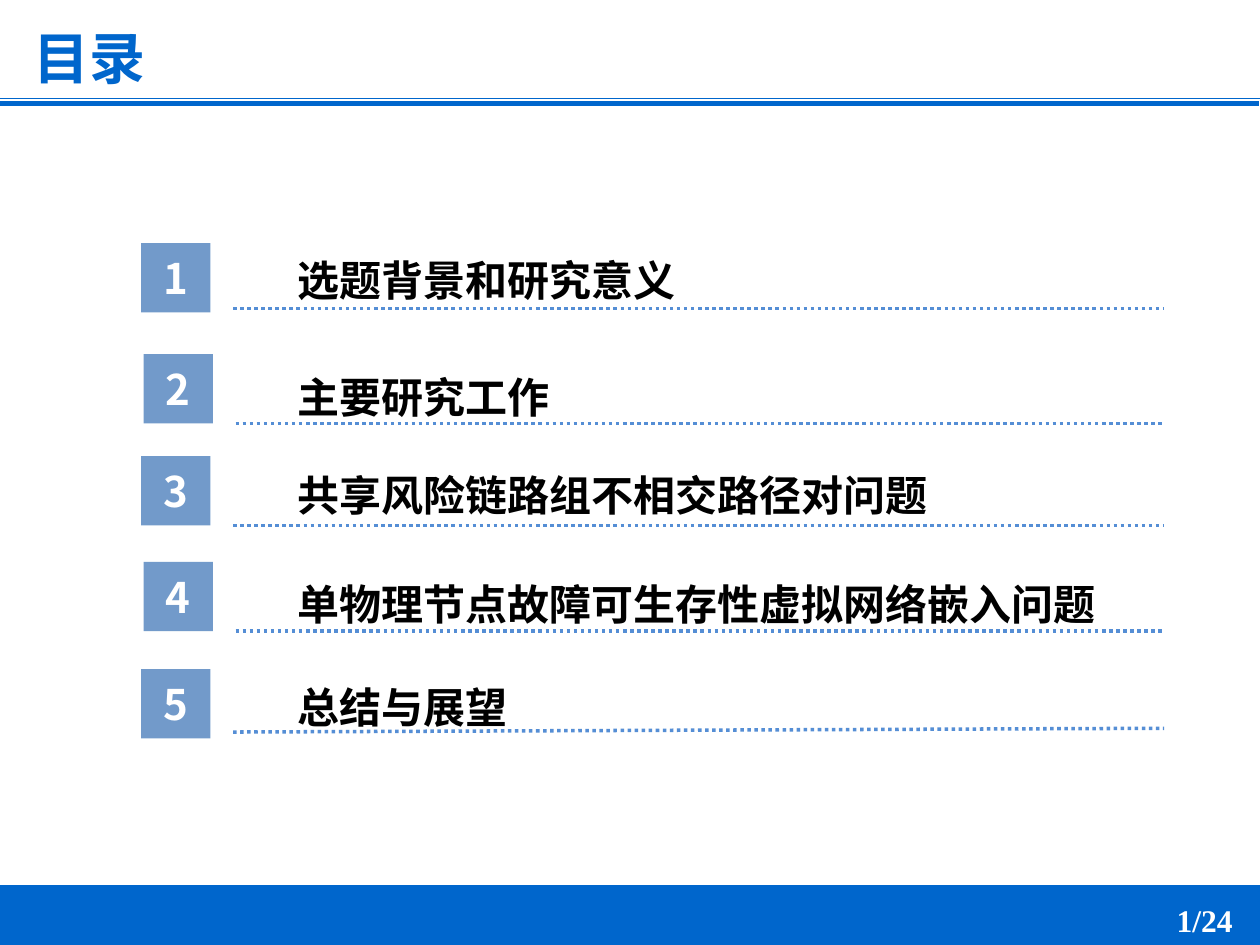
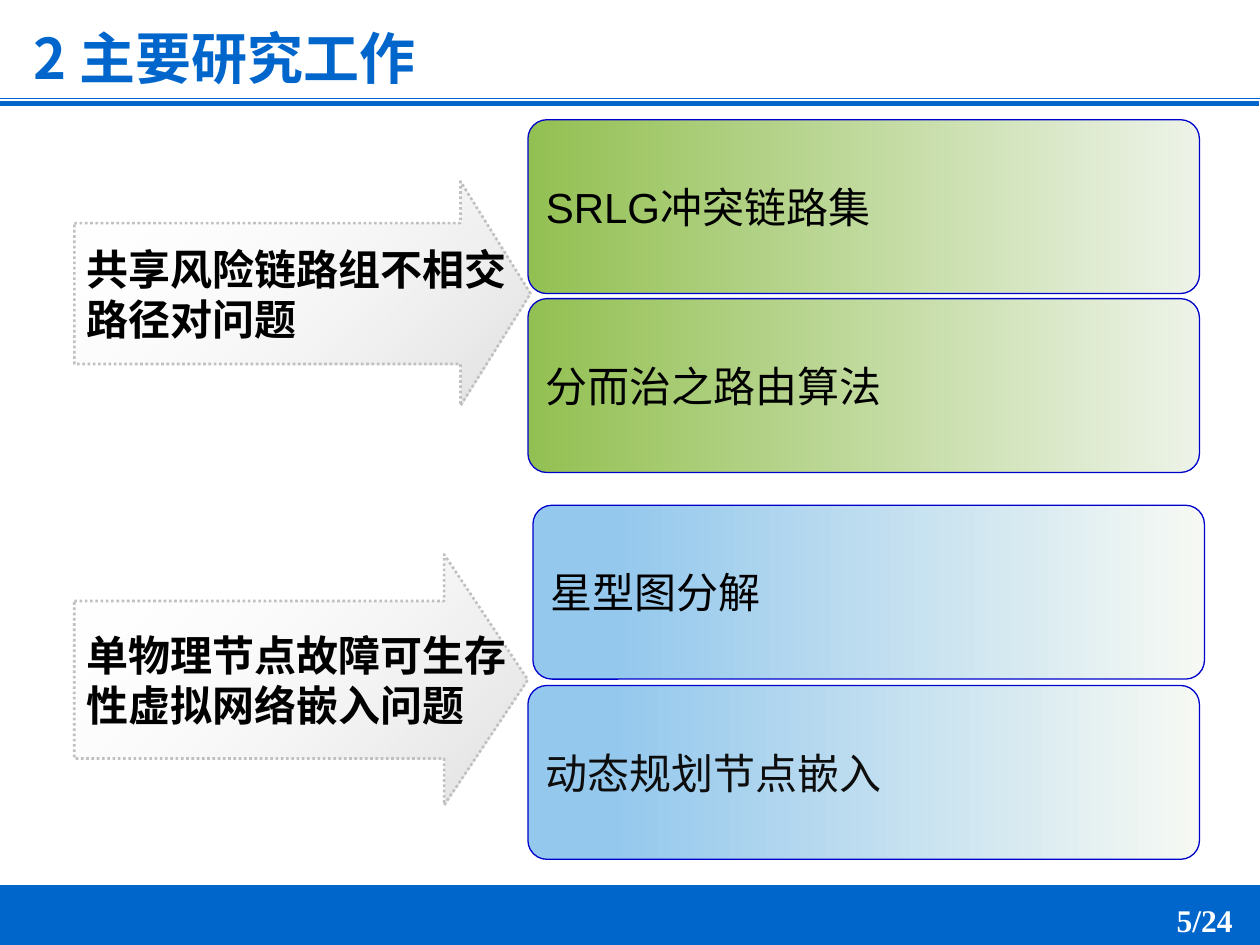
from lxml.etree import SubElement
from pptx import Presentation
from pptx.dml.color import RGBColor
from pptx.enum.dml import MSO_LINE
from pptx.enum.shapes import MSO_CONNECTOR, MSO_SHAPE
from pptx.enum.text import MSO_ANCHOR, MSO_AUTO_SIZE, PP_ALIGN
from pptx.oxml.ns import qn
from pptx.util import Inches, Pt

# Content
CJK = "Noto Sans CJK SC"
COLORS = {
    "brand": "0066CC", "white": "FFFFFF", "black": "000000", "near_black": "0D0D0D",
    "badge": "4F81BD", "dots": "558ED5", "silver": "C0C0C0", "outline": "0000CC",
    "green": "93C052", "pale_green": "EDF3E8", "sky": "94C8ED", "pale_sky": "F6F9F3",
}
PAGE_COUNT = 24

# Agenda: text, font, badge left, badge top, label top, label width, line start y, line end y
AGENDA = [
    ("选题背景和研究意义", "Arial", 1.12, 1.93, 1.97, 5.67, 2.45, 2.45),
    ("主要研究工作", "Arial", 1.14, 2.81, 2.9, 5.49, 3.36, 3.36),
    ("共享风险链路组不相交路径对问题", "Times New Roman", 1.12, 3.62, 3.68, 6.62, 4.17, 4.17),
    ("单物理节点故障可生存性虚拟网络嵌入问题", "Calibri", 1.14, 4.46, 4.54, 7.5, 5.01, 5.01),
    ("总结与展望", "Arial", 1.12, 5.31, 5.36, 3.29, 5.81, 5.78),
]

# Each topic: an arrow that leads to its method boxes (text, left, top, text colour)
TOPICS = [
    {"lines": ["共享风险链路组不相交", "路径对问题"], "font": "Times New Roman",
     "arrow": (0.59, 1.44, 3.62, 1.78), "head": 0.312,
     "stops": [(0, "green"), (1, "pale_green")],
     "methods": [("SRLG冲突链路集", 4.19, 0.95, "black"),
                 ("分而治之路由算法", 4.19, 2.37, "black")]},
    {"lines": ["单物理节点故障可生存", "性虚拟网络嵌入问题"], "font": "Calibri",
     "arrow": (0.59, 4.4, 3.6, 1.99), "head": 0.334,
     "stops": [(0.12, "sky"), (1, "pale_sky")],
     "methods": [("星型图分解", 4.23, 4.01, "black"),
                 ("动态规划节点嵌入", 4.19, 5.44, "near_black")]},
]


# Helpers
def rgb(name):
    return RGBColor.from_string(COLORS[name])


def set_alpha(color_element, percent):
    SubElement(color_element, qn("a:alpha")).set("val", str(percent * 1000))


def write(sp, lines, size, font, color, bold=True, align=None, wrap=True, anchor=None):
    tf = sp.text_frame
    tf.word_wrap = wrap
    if anchor is not None:
        tf.vertical_anchor = anchor
    for i, line in enumerate(lines):
        p = tf.paragraphs[0] if i == 0 else tf.add_paragraph()
        p.alignment = align
        p.font.size, p.font.name, p.font.bold = Pt(size), font, bold
        p.font.color.rgb = rgb(color)
        r = p.add_run()
        r.text = line
        SubElement(r.font._element, qn("a:ea")).set("typeface", CJK)


def add_text(s, box, text, *style, **options):
    sp = s.shapes.add_textbox(*map(Inches, box))
    write(sp, [text], *style, **options)
    sp.text_frame.auto_size = MSO_AUTO_SIZE.SHAPE_TO_FIT_TEXT


def add_shape(s, kind, box, line=None, width=0.75):
    sp = s.shapes.add_shape(kind, *map(Inches, box))
    sp.shadow.inherit = False
    if line:
        sp.line.color.rgb = rgb(line)
        sp.line.width = Pt(width)
    else:
        sp.line.fill.background()
    return sp


def add_line(s, start, end, color, width, dash=None):
    c = s.shapes.add_connector(MSO_CONNECTOR.STRAIGHT, *map(Inches, (*start, *end)))
    c.line.color.rgb = rgb(color)
    c.line.width = Pt(width)
    if dash:
        c.line.dash_style = dash
    SubElement(c._element.spPr, qn("a:effectLst"))


def fill_solid(sp, color):
    sp.fill.solid()
    sp.fill.fore_color.rgb = rgb(color)


def fill_gradient(sp, stops, angle, alphas=()):
    sp.fill.gradient()
    sp.fill.gradient_angle = angle
    for stop, (position, color) in zip(sp.fill.gradient_stops, stops):
        stop.position = position
        stop.color.rgb = rgb(color)
    for element, alpha in zip(sp._element.spPr.iter(qn("a:srgbClr")), alphas):
        set_alpha(element, alpha)


def add_page(prs, title, title_width, number):
    """New slide with the shared footer band, title rules, title and page number."""
    s = prs.slides.add_slide(prs.slide_layouts[6])
    band = add_shape(s, MSO_SHAPE.RECTANGLE, (0, 7.03, 10, 0.5), "brand")
    fill_solid(band, "brand")
    add_line(s, (-0.01, 0.82), (9.99, 0.82), "brand", 3)
    add_line(s, (0, 0.78), (10, 0.78), "brand", 0.25)
    add_text(s, (0.17, 0.14, title_width, 0.64), title, 32, CJK, "brand", wrap=False)
    add_text(s, (9.24, 7.1, 0.65, 0.4), f"{number}/{PAGE_COUNT}", 18,
             "Times New Roman", "white", wrap=False)
    return s


# Slides
def build_agenda(prs):
    s = add_page(prs, "目录", 1.1, 1)
    for number, item in enumerate(AGENDA, 1):
        text, font, left, top, label_top, label_width, y1, y2 = item
        badge = add_shape(s, MSO_SHAPE.RECTANGLE, (left, top, 0.55, 0.55))
        fill_solid(badge, "badge")
        set_alpha(next(badge._element.spPr.iter(qn("a:srgbClr"))), 80)
        write(badge, [str(number)], 24, CJK, "white",
              align=PP_ALIGN.CENTER, anchor=MSO_ANCHOR.MIDDLE)
        add_line(s, (left + 0.73, y1), (9.24, y2), "dots", 2, MSO_LINE.ROUND_DOT)
        add_text(s, (2.26, label_top, label_width, 0.5), text, 24, font, "black")


def build_topics(prs):
    s = add_page(prs, "2 主要研究工作", 3.36, 5)
    for topic in TOPICS:
        arrow = add_shape(s, MSO_SHAPE.RIGHT_ARROW, topic["arrow"], "silver", 1.5)
        arrow.adjustments[0], arrow.adjustments[1] = 0.628, topic["head"]
        arrow.line.dash_style = MSO_LINE.ROUND_DOT
        fill_gradient(arrow, [(0, "white"), (1, "silver")], 315, (0, 50))
        write(arrow, topic["lines"], 24, topic["font"], "black",
              align=PP_ALIGN.JUSTIFY, wrap=False, anchor=MSO_ANCHOR.MIDDLE)
        for text, left, top, color in topic["methods"]:
            box = add_shape(s, MSO_SHAPE.ROUNDED_RECTANGLE, (left, top, 5.33, 1.38), "outline")
            box.adjustments[0] = 0.109
            fill_gradient(box, topic["stops"], 0)
            write(box, [text], 24, "Arial", color, bold=False,
                  align=PP_ALIGN.LEFT, wrap=False, anchor=MSO_ANCHOR.MIDDLE)


def main():
    prs = Presentation()
    prs.slide_width, prs.slide_height = Inches(10), Inches(7.5)
    build_agenda(prs)
    build_topics(prs)
    prs.save("out.pptx")


if __name__ == "__main__":
    main()
